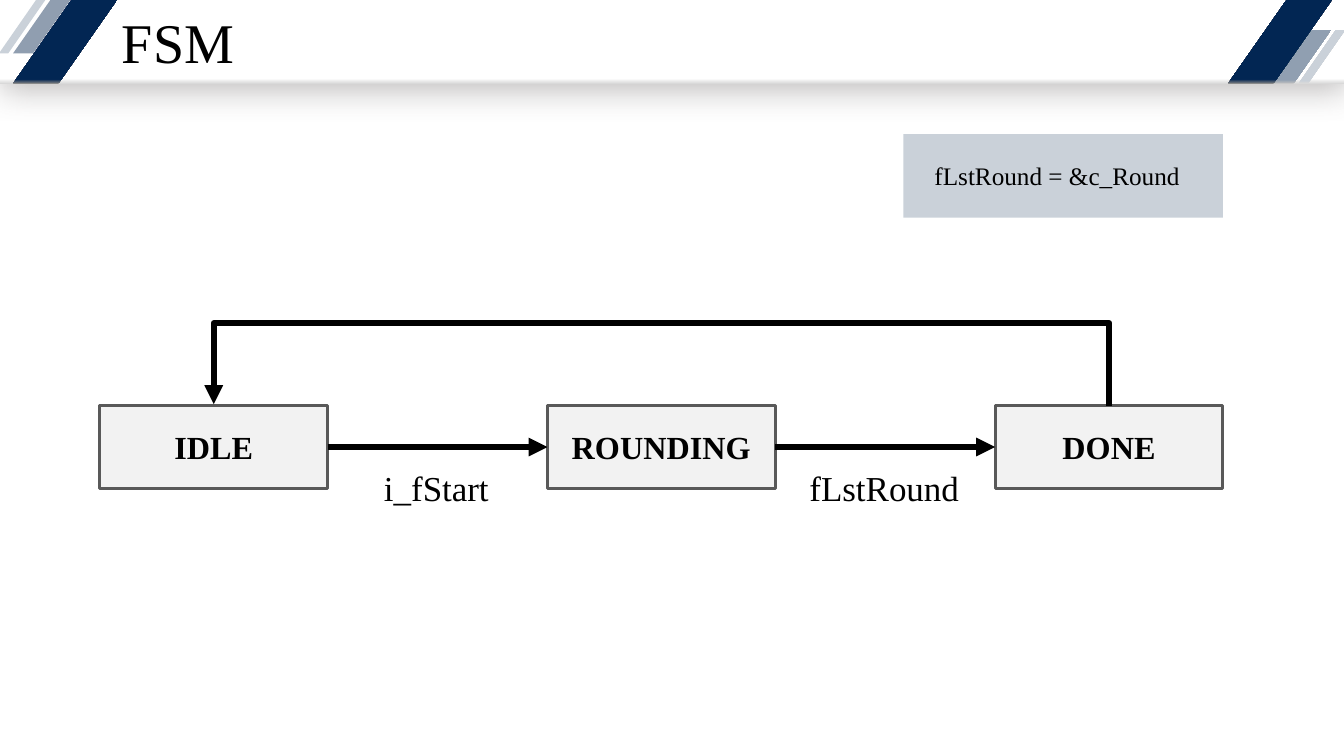
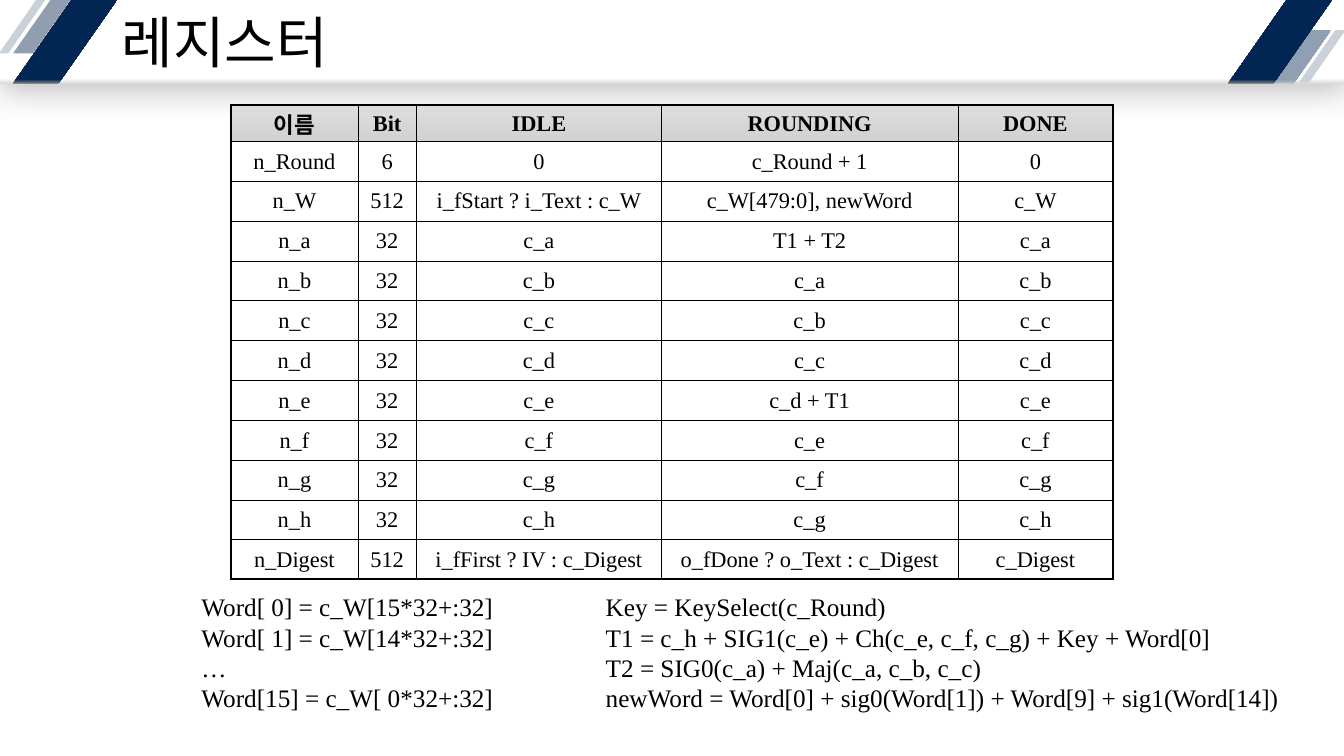
from collections.abc import Sequence
from dataclasses import dataclass
from typing import Any

import pptx
import pptx.dml.color
import pptx.enum.shapes
import pptx.enum.text
import pptx.oxml
import pptx.oxml.ns
import pptx.util
from lxml import etree

Inches = pptx.util.Inches
Pt = pptx.util.Pt
RGBColor = pptx.dml.color.RGBColor
Shape = pptx.enum.shapes.MSO_SHAPE
Align = pptx.enum.text.PP_ALIGN
qn = pptx.oxml.ns.qn

# Shared style
FONT = "Times New Roman"
BLACK = RGBColor(0x00, 0x00, 0x00)
WHITE = RGBColor(0xFF, 0xFF, 0xFF)
NAVY = RGBColor(0x02, 0x26, 0x53)
SLATE = RGBColor(0x7A, 0x8B, 0xA1)
STEEL = RGBColor(0x90, 0x9F, 0xB1)
MIST = RGBColor(0xCA, 0xD1, 0xD9)
EDGE_DARK = RGBColor(0x80, 0x80, 0x80)
EDGE_MIDDLE = RGBColor(0xBF, 0xBF, 0xBF)
EDGE_LIGHT = RGBColor(0xD9, 0xD9, 0xD9)
SHADOW = RGBColor(0x76, 0x71, 0x71)
STATE_FILL = RGBColor(0xF2, 0xF2, 0xF2)
STATE_LINE = RGBColor(0x59, 0x59, 0x59)
HEADER_TOP = RGBColor(0xDD, 0xDD, 0xDD)
HEADER_BOTTOM = RGBColor(0xD2, 0xD2, 0xD2)

SLIDE_WIDTH, SLIDE_HEIGHT = 13.33, 7.5
BAND_HEIGHT = 0.83
STRIPE_HEIGHT = 0.53


@dataclass(frozen=True)
class Box:
    left: float
    top: float
    width: float
    height: float

    def lengths(self) -> list[int]:
        return [Inches(value) for value in (self.left, self.top, self.width, self.height)]


@dataclass(frozen=True)
class Gradient:
    stops: tuple[tuple[int, RGBColor], ...]
    angle: int = 270


Paint = RGBColor | Gradient


def edged(edge: RGBColor, position: int, body: RGBColor) -> Gradient:
    return Gradient(((0, edge), (position, body), (100, body)))


@dataclass(frozen=True)
class Stripe:
    box: Box
    skew: float
    paint: Paint
    opacity: int = 100


LOW = BAND_HEIGHT - STRIPE_HEIGHT
NAVY_PAINT = edged(EDGE_DARK, 5, NAVY)
STRIPES = (
    Stripe(Box(0.13, 0, 0.57, STRIPE_HEIGHT), 0.7, SLATE, 83),
    Stripe(Box(0.13, 0, 1.03, BAND_HEIGHT), 0.7, NAVY_PAINT),
    Stripe(Box(-0.01, 0, 0.46, STRIPE_HEIGHT), 0.8, MIST),
    Stripe(Box(12.63, LOW, 0.57, STRIPE_HEIGHT), 0.7, edged(EDGE_MIDDLE, 7, STEEL)),
    Stripe(Box(12.18, 0, 1.03, BAND_HEIGHT), 0.7, NAVY_PAINT),
    Stripe(Box(12.88, LOW, 0.46, STRIPE_HEIGHT), 0.8, edged(EDGE_LIGHT, 6, MIST)),
)


# Drawing helpers
def apply_format(target: Any, values: dict[str, Any]) -> None:
    for name, value in values.items():
        setattr(target, name, value)


def add_xml(parent: Any, tag: str, **attributes: Any) -> Any:
    texts = {name: str(value) for name, value in attributes.items()}
    return etree.SubElement(parent, qn(tag), texts)


def add_colour(parent: Any, colour: RGBColor, opacity: int = 100) -> None:
    element = add_xml(parent, "a:srgbClr", val=colour)
    if opacity < 100:
        add_xml(element, "a:alpha", val=opacity * 1000)


def apply_paint(fill: Any, properties: Any, paint: Paint, opacity: int = 100) -> None:
    fill.solid()
    fill.fore_color.rgb = paint if isinstance(paint, RGBColor) else paint.stops[0][1]
    solid = properties.find(qn("a:solidFill"))
    if isinstance(paint, Gradient):
        gradient = pptx.oxml.parse_xml(f"<a:gradFill {pptx.oxml.ns.nsdecls('a')}/>")
        stops = add_xml(gradient, "a:gsLst")
        for position, colour in paint.stops:
            add_colour(add_xml(stops, "a:gs", pos=position * 1000), colour)
        add_xml(gradient, "a:lin", ang=paint.angle * 60000, scaled=0)
        properties.replace(solid, gradient)
    elif opacity < 100:
        add_xml(solid[0], "a:alpha", val=opacity * 1000)


def write_lines(frame: Any, lines: Sequence[str], size: float, bold: bool = False,
                **paragraph_format: Any) -> None:
    for index, line in enumerate(lines):
        paragraph = frame.add_paragraph() if index else frame.paragraphs[0]
        apply_format(paragraph, paragraph_format)
        run = paragraph.add_run()
        run.text = line
        apply_format(run.font, {"name": FONT, "size": Pt(size), "bold": bold})
        run.font.color.rgb = BLACK


def add_block(slide: Any, kind: Any, box: Box, paint: Paint, opacity: int = 100) -> Any:
    shape = slide.shapes.add_shape(kind, *box.lengths())
    shape.shadow.inherit = False
    apply_paint(shape.fill, shape._element.spPr, paint, opacity)
    shape.line.fill.background()
    return shape


def add_label(slide: Any, box: Box, lines: Sequence[str], size: float) -> None:
    frame = slide.shapes.add_textbox(*box.lengths()).text_frame
    apply_format(frame, {"word_wrap": False,
                         "auto_size": pptx.enum.text.MSO_AUTO_SIZE.SHAPE_TO_FIT_TEXT})
    write_lines(frame, lines, size)


def style_arrow(connector: Any) -> None:
    connector.line.width = Pt(4.5)
    connector.line.color.rgb = BLACK
    add_xml(connector.line._get_or_add_ln(), "a:tailEnd", type="triangle")
    add_xml(connector._element.spPr, "a:effectLst")


def add_titled_slide(presentation: Any, title: str) -> Any:
    slide = presentation.slides.add_slide(presentation.slide_layouts[6])

    # Band and corner stripes
    band = add_block(slide, Shape.RECTANGLE, Box(0, 0, SLIDE_WIDTH, BAND_HEIGHT),
                     edged(EDGE_LIGHT, 6, WHITE))
    effects = band._element.spPr.find(qn("a:effectLst"))
    shadow = add_xml(effects, "a:outerShdw", blurRad=Pt(24), dist=Pt(3),
                     dir=80 * 60000, algn="t", rotWithShape=0)
    add_colour(shadow, SHADOW, 50)
    for stripe in STRIPES:
        shape = add_block(slide, Shape.PARALLELOGRAM, stripe.box, stripe.paint, stripe.opacity)
        shape.adjustments[0] = stripe.skew

    # Title
    frame = slide.shapes.add_textbox(*Box(0.15, 0, 8.76, BAND_HEIGHT).lengths()).text_frame
    apply_format(frame, {
        "word_wrap": True,
        "vertical_anchor": pptx.enum.text.MSO_ANCHOR.MIDDLE,
        "margin_left": Inches(1.06), "margin_right": Inches(1.06),
        "margin_top": Inches(0.12), "margin_bottom": Inches(0.04),
    })
    write_lines(frame, [title], 40, line_spacing=0.9)
    return slide


# State machine slide
STATES = ("IDLE", "ROUNDING", "DONE")
STATE_LEFT, STATE_TOP, STATE_STEP = 0.99, 4.02, 4.44
STATE_WIDTH, STATE_HEIGHT = 2.26, 0.83
RETURN_RISE, RETURN_OFFSET = 0.82, 0.02


def add_return_arrow(slide: Any, source: Any, target: Any) -> None:
    connector = slide.shapes.add_connector(pptx.enum.shapes.MSO_CONNECTOR.ELBOW, 0, 0, 0, 0)
    connector.begin_connect(source, 0)
    connector.end_connect(target, 0)
    span = STATE_STEP * (len(STATES) - 1)
    centre = STATE_LEFT + (STATE_WIDTH + span) / 2
    # The elbow is a tall, thin path turned a quarter so that it rises first
    box = Box(centre - RETURN_OFFSET / 2, STATE_TOP - span / 2, RETURN_OFFSET, span)
    apply_format(connector, dict(zip(("left", "top", "width", "height"), box.lengths())))
    properties = connector._element.spPr
    transform = properties.find(qn("a:xfrm"))
    transform.attrib.pop("flipH", None)
    transform.set("flipV", "1")
    transform.set("rot", str(270 * 60000))
    geometry = properties.find(qn("a:prstGeom"))
    for guide_list in geometry.findall(qn("a:avLst")):
        geometry.remove(guide_list)
    bend = round(RETURN_RISE / RETURN_OFFSET * 100000)
    add_xml(add_xml(geometry, "a:avLst"), "a:gd", name="adj1", fmla=f"val {bend}")
    style_arrow(connector)


def build_state_slide(presentation: Any) -> None:
    slide = add_titled_slide(presentation, "FSM")

    # States
    states = []
    for index, name in enumerate(STATES):
        box = Box(STATE_LEFT + index * STATE_STEP, STATE_TOP, STATE_WIDTH, STATE_HEIGHT)
        state = add_block(slide, Shape.RECTANGLE, box, STATE_FILL)
        state.line.color.rgb = STATE_LINE
        state.line.width = Pt(2.25)
        state.text_frame.vertical_anchor = pptx.enum.text.MSO_ANCHOR.MIDDLE
        write_lines(state.text_frame, [name], 23, True, alignment=Align.CENTER)
        states.append(state)

    # Transitions
    for source, target in zip(states, states[1:]):
        connector = slide.shapes.add_connector(
            pptx.enum.shapes.MSO_CONNECTOR.STRAIGHT, 0, 0, 0, 0)
        connector.begin_connect(source, 3)
        connector.end_connect(target, 1)
        style_arrow(connector)
    add_return_arrow(slide, states[-1], states[0])
    add_label(slide, Box(3.71, 4.58, 1.26, 0.52), ["i_fStart"], 25)
    add_label(slide, Box(7.93, 4.58, 1.7, 0.52), ["fLstRound"], 25)

    # Definition
    add_block(slide, Shape.RECTANGLE, Box(8.96, 1.33, 3.17, 0.83), MIST)
    add_label(slide, Box(9.17, 1.54, 2.66, 0.4), ["fLstRound = &c_Round"], 18)


# Register slide
COLUMN_WIDTHS = (1.26, 0.58, 2.43, 2.94, 1.54)
TABLE_BOX = Box(2.29, 1.04, sum(COLUMN_WIDTHS), 4.71)
HEADER_HEIGHT = 0.36
HEADER_PAINT = Gradient(((0, HEADER_TOP), (100, HEADER_BOTTOM)), 90)
WORKING = "abcdefgh"
ROUND_VALUES = {"a": "T1 + T2", "e": "c_d + T1"}
REGISTERS = [
    ("이름", "Bit", *STATES),
    ("n_Round", "6", "0", "c_Round + 1", "0"),
    ("n_W", "512", "i_fStart ? i_Text : c_W", "c_W[479:0], newWord", "c_W"),
    *((f"n_{name}", "32", f"c_{name}",
       ROUND_VALUES.get(name, f"c_{WORKING[index - 1]}"), f"c_{name}")
      for index, name in enumerate(WORKING)),
    ("n_Digest", "512", "i_fFirst ? IV : c_Digest", "o_fDone ? o_Text : c_Digest", "c_Digest"),
]
WORDS = ("Word[ 0] = c_W[15*32+:32]", "Word[ 1] = c_W[14*32+:32]", "…",
         "Word[15] = c_W[ 0*32+:32]")
FORMULAS = ("Key = KeySelect(c_Round)",
            "T1 = c_h + SIG1(c_e) + Ch(c_e, c_f, c_g) + Key + Word[0]",
            "T2 = SIG0(c_a) + Maj(c_a, c_b, c_c)",
            "newWord = Word[0] + sig0(Word[1]) + Word[9] + sig1(Word[14])")


def add_borders(properties: Any, outer_sides: dict[str, bool]) -> None:
    for side, outer in outer_sides.items():
        line = add_xml(properties, f"a:ln{side}", w=Pt(1.5 if outer else 0.25))
        add_colour(add_xml(line, "a:solidFill"), BLACK)


def build_register_slide(presentation: Any) -> None:
    slide = add_titled_slide(presentation, "레지스터")

    # Register table
    last_row, last_column = len(REGISTERS) - 1, len(COLUMN_WIDTHS) - 1
    table = slide.shapes.add_table(last_row + 1, last_column + 1, *TABLE_BOX.lengths()).table
    apply_format(table, {"first_row": False, "horz_banding": False})
    for column, width in zip(table.columns, COLUMN_WIDTHS):
        column.width = Inches(width)
    body_height = (TABLE_BOX.height - HEADER_HEIGHT) / last_row
    for row, values in enumerate(REGISTERS):
        table.rows[row].height = Inches(body_height if row else HEADER_HEIGHT)
        for column, value in enumerate(values):
            cell = table.cell(row, column)
            apply_format(cell, {
                "vertical_anchor": pptx.enum.text.MSO_ANCHOR.MIDDLE,
                "margin_left": Inches(0.01), "margin_right": Inches(0.01),
                "margin_top": Inches(0.01), "margin_bottom": 0,
            })
            write_lines(cell.text_frame, [value], 16, row == 0, alignment=Align.CENTER)
            properties = cell._tc.get_or_add_tcPr()
            add_borders(properties, {"L": column == 0, "R": column == last_column,
                                     "T": row == 0, "B": row == last_row})
            apply_paint(cell.fill, properties, WHITE if row else HEADER_PAINT)

    # Formulas
    add_label(slide, Box(1.9, 5.82, 3.19, 1.31), WORDS, 18)
    add_label(slide, Box(5.91, 5.82, 6.94, 1.31), FORMULAS, 18)


def main() -> None:
    presentation = pptx.Presentation()
    apply_format(presentation, {"slide_width": Inches(SLIDE_WIDTH),
                                "slide_height": Inches(SLIDE_HEIGHT)})
    build_state_slide(presentation)
    build_register_slide(presentation)
    presentation.save("out.pptx")


if __name__ == "__main__":
    main()
